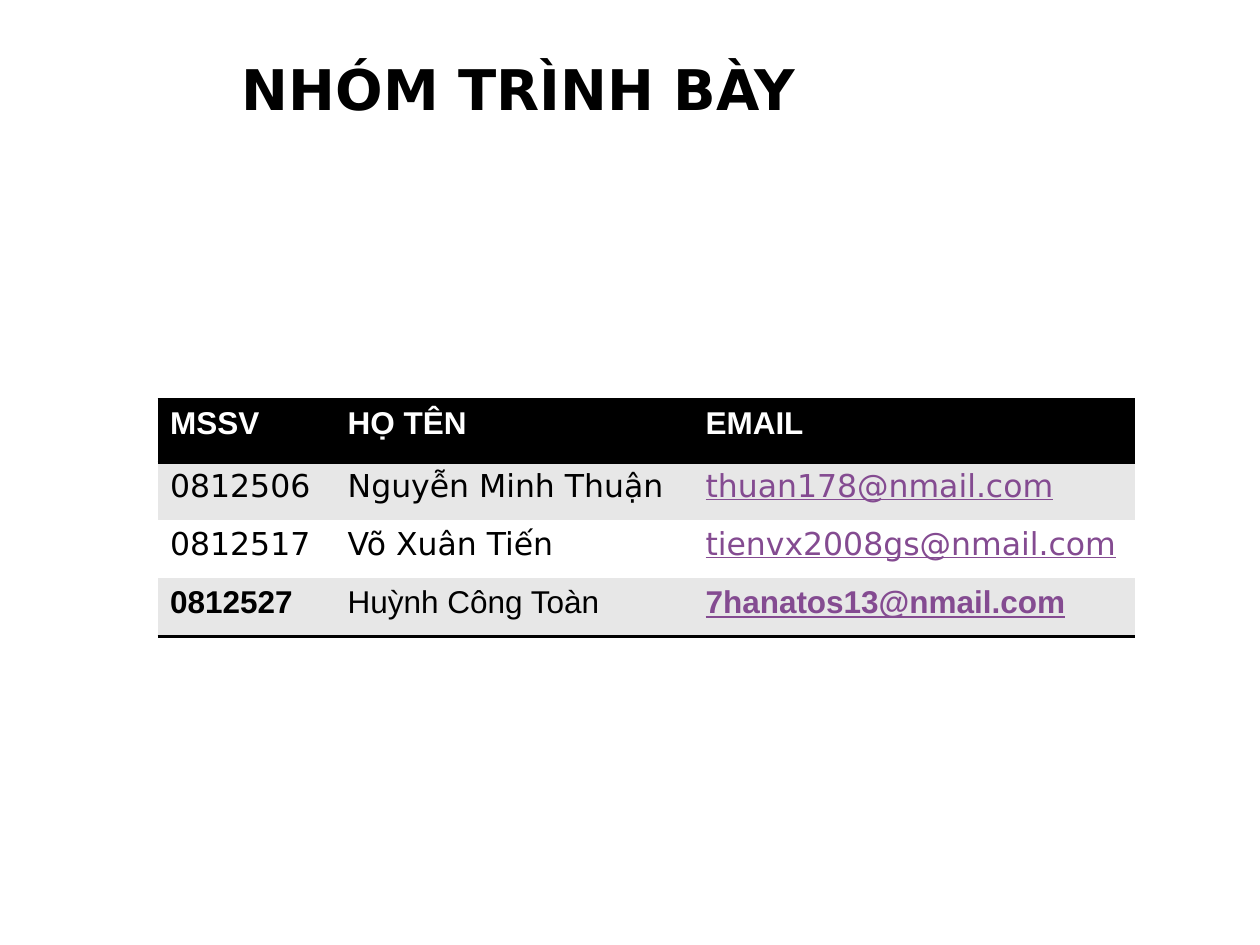
from lxml import etree
from pptx import Presentation
from pptx.dml.color import RGBColor
from pptx.enum.text import MSO_ANCHOR, PP_ALIGN
from pptx.oxml.ns import qn
from pptx.util import Inches, Pt

MIDDLE, LEFT = MSO_ANCHOR.MIDDLE, PP_ALIGN.LEFT
HEX = {"ink": "000000", "paper": "FFFFFF", "band": "E7E7E7", "link": "844B91"}
SANS, WIDE = "Arial", "DejaVu Sans"
PLAIN = "{2D5ABB26-0587-4C30-8999-92F81FD0307C}"  # table style without grid
COLS = [1.41, 2.84, 3.51]
HEAD, ROW = 0.5, 0.46
NAMES = ["MSSV", "HỌ TÊN", "EMAIL"]
GROUP = [
    ["0812506", "Nguyễn Minh Thuận", "thuan178@nmail.com"],
    ["0812517", "Võ Xuân Tiến", "tienvx2008gs@nmail.com"],
    ["0812527", "Huỳnh Công Toàn", "7hanatos13@nmail.com"],
]


def write(frame, text, size=18, font=SANS, color="ink", bold=False, line=False):
    """Put one formatted run into a text frame."""
    para = frame.paragraphs[0]
    para.alignment = LEFT
    run = para.add_run()
    run.text = text
    face = run.font
    face.size, face.name = Pt(size), font
    face.bold, face.underline = bold, line
    face.color.rgb = RGBColor.from_string(HEX[color])


def rule(cell, sides, color="ink", width=2):
    """Draw border lines on the given sides of a cell, in schema order."""
    props = cell._tc.get_or_add_tcPr()
    for spot, side in enumerate(sides):
        edge = etree.Element(qn("a:ln" + side), w=str(Pt(width)))
        fill = etree.SubElement(edge, qn("a:solidFill"))
        etree.SubElement(fill, qn("a:srgbClr"), val=HEX[color])
        props.insert(spot, edge)


def title(slide, text, left, top, width, height):
    """Add the slide heading."""
    box = slide.shapes.add_textbox(
        Inches(left), Inches(top), Inches(width), Inches(height))
    frame = box.text_frame
    frame.word_wrap = True
    frame.vertical_anchor = MIDDLE
    write(frame, text, size=32, font=WIDE, bold=True)


def roster(slide, left, top):
    """Add the table of group members."""
    rows = [NAMES] + GROUP
    last = len(GROUP)
    frame = slide.shapes.add_table(
        len(rows), len(COLS), Inches(left), Inches(top),
        Inches(sum(COLS)), Inches(HEAD + ROW * last))
    table = frame.table
    table._tbl.tblPr.find(qn("a:tableStyleId")).text = PLAIN
    for col, width in zip(table.columns, COLS):
        col.width = Inches(width)
    for r, row in enumerate(rows):
        table.rows[r].height = Inches(ROW if r else HEAD)
        back = "ink" if r == 0 else "band" if r % 2 else "paper"
        for c, text in enumerate(row):
            cell = table.cell(r, c)
            cell.fill.solid()
            cell.fill.fore_color.rgb = RGBColor.from_string(HEX[back])
            mail = r > 0 and c == 2
            write(cell.text_frame, text,
                  font=SANS if r in (0, last) else WIDE,
                  color="paper" if r == 0 else "link" if mail else "ink",
                  bold=r == 0 or (r == last and c != 1), line=mail)
            if r == 0:
                rule(cell, "TB")
            elif r == last:
                rule(cell, "B")


deck = Presentation()
deck.slide_width, deck.slide_height = Inches(10), Inches(7.5)
page = deck.slides.add_slide(deck.slide_layouts[6])
title(page, "NHÓM TRÌNH BÀY", 1.82, 0.39, 8.18, 0.62)
roster(page, 1.25, 3.17)
deck.save("out.pptx")
